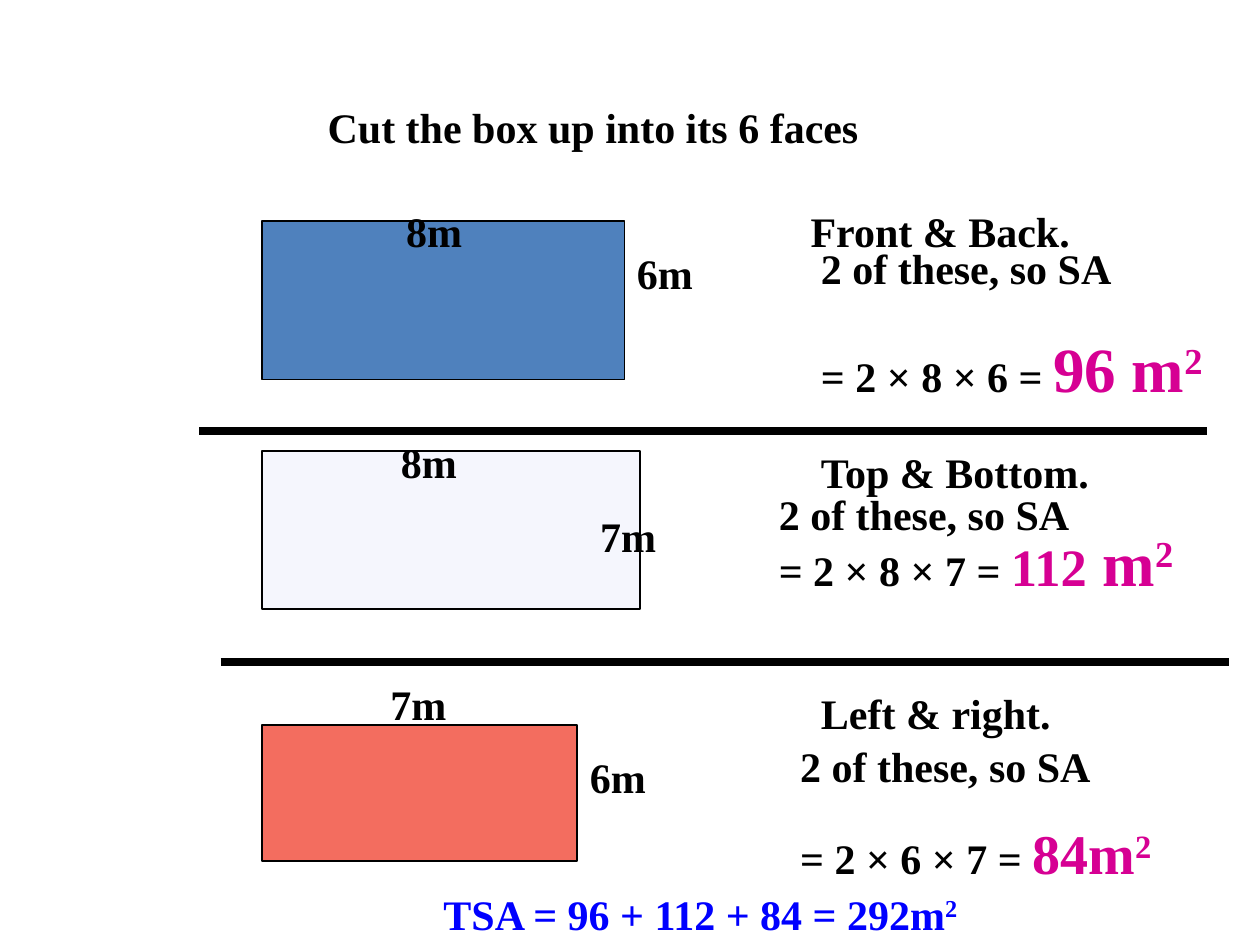
import pptx
import pptx.dml.color
import pptx.enum.shapes
import pptx.enum.text
import pptx.oxml.ns
import pptx.util
from lxml import etree

Cm, Pt = pptx.util.Cm, pptx.util.Pt

THEME = {
    "font": "Times New Roman",
    "size": 24,
    "text": "000000",
    "answer": "D60093",
    "total": "0000FF",
    "outline": 1,
    "divider": 4.5,
}
RAISED = "²"  # written as a raised 2

# Positions and sizes are in cm: left, top, width, height.
# A paragraph is (runs, line spacing, space before in pt); a run is (text, size, colour).
BODY, ANSWER = THEME["text"], THEME["answer"]
SIZE = THEME["size"]
TITLE = ("Cut the box up into its 6 faces", (6.35, 1.91, 12.07, 1.27))
TOTAL = ("TSA = 96 + 112 + 84 = 292m", (8.69, 17.78, 11.43, 1.27))
COUNT = [("2 of these, so SA", SIZE, BODY)]

FACES = [
    {
        "fill": "4F81BD", "box": (5.29, 4.45, 7.3, 3.2),
        "sides": [("8m", (7.94, 4.02, 2.65, 1.27)), ("6m", (12.59, 4.87, 2.65, 1.27))],
        "name": ("Front & Back.", 1.0, (16.09, 4.02, 7.41, 1.27)),
        "working": [
            (COUNT, Pt(20), 0),
            ([("= 2 × 8 × 6 = ", SIZE, BODY), ("96 m", 36, ANSWER), (RAISED, 36, ANSWER)], 1.0, 21),
        ],
        "working_box": (16.3, 5.08, 8.26, 3.25),
    },
    {
        "fill": "F5F6FD", "box": (5.29, 9.1, 7.62, 3.18),
        "sides": [("8m", (7.83, 8.68, 2.12, 1.27)), ("7m", (11.85, 10.16, 2.12, 1.27))],
        "name": ("Top & Bottom.", 0.5, (16.3, 9.31, 7.41, 0.76)),
        "working": [
            (COUNT, 0.5, 0),
            ([("= 2 × 8 × 7 = ", SIZE, BODY), ("112", 30, ANSWER), (" m", 36, ANSWER),
              (RAISED, 36, ANSWER)], 0.5, 12),
        ],
        "working_box": (15.45, 10.16, 9.1, 1.91),
    },
    {
        "fill": "F36D5F", "box": (5.29, 14.61, 6.35, 2.75),
        "sides": [("7m", (7.62, 13.55, 2.12, 1.27)), ("6m", (11.64, 15.03, 2.12, 1.27))],
        "name": ("Left & right.", 0.5, (16.3, 14.18, 7.41, 0.76)),
        "working": [
            (COUNT, 0.5, 0),
            ([("= 2 × 6 × 7 = ", SIZE, BODY), ("84m", 32, ANSWER), (RAISED, 32, ANSWER)], 1.0, 18),
        ],
        "working_box": (15.88, 15.24, 7.83, 2.79),
    },
]
DIVIDERS = [(4.02, 8.68), (4.45, 13.34)]  # left, height on the slide
DIVIDER_WIDTH = 20.32


def rgb(colour):
    return pptx.dml.color.RGBColor.from_string(colour)


def write(frame, paragraphs):
    frame.word_wrap = True
    for index, (runs, spacing, before) in enumerate(paragraphs):
        paragraph = frame.add_paragraph() if index else frame.paragraphs[0]
        paragraph.alignment = pptx.enum.text.PP_ALIGN.LEFT
        paragraph.line_spacing = spacing
        paragraph.space_before = Pt(before)
        paragraph.font.name = THEME["font"]
        paragraph.font.bold = True
        for text, size, colour in runs:
            run = paragraph.add_run()
            run.text = "2" if text == RAISED else text
            run.font.size = Pt(size)
            run.font.color.rgb = rgb(colour)
            if text == RAISED:
                run.font._element.set("baseline", "30000")


def add_text(shapes, paragraphs, box):
    frame = shapes.add_textbox(*map(Cm, box)).text_frame
    write(frame, paragraphs)
    frame.auto_size = pptx.enum.text.MSO_AUTO_SIZE.SHAPE_TO_FIT_TEXT


def plain(text, spacing=1.0):
    return [([(text, SIZE, BODY)], spacing, 0)]


def add_face(slide, face):
    """Draw one face with its side lengths, and its area beside it."""
    group = slide.shapes.add_group_shape()
    rectangle = group.shapes.add_shape(
        pptx.enum.shapes.MSO_SHAPE.RECTANGLE, *map(Cm, face["box"]))
    rectangle.shadow.inherit = False
    rectangle.fill.solid()
    rectangle.fill.fore_color.rgb = rgb(face["fill"])
    rectangle.line.color.rgb = rgb(BODY)
    rectangle.line.width = Pt(THEME["outline"])
    for length, box in face["sides"]:
        add_text(group.shapes, plain(length), box)
    name, spacing, box = face["name"]
    add_text(slide.shapes, plain(name, spacing), box)
    add_text(slide.shapes, face["working"], face["working_box"])


def add_divider(slide, left, y):
    divider = slide.shapes.add_connector(
        pptx.enum.shapes.MSO_CONNECTOR.STRAIGHT,
        Cm(left), Cm(y), Cm(left + DIVIDER_WIDTH), Cm(y))
    divider.line.color.rgb = rgb(BODY)
    divider.line.width = Pt(THEME["divider"])
    etree.SubElement(divider._element.spPr, pptx.oxml.ns.qn("a:effectLst"))


def main():
    presentation = pptx.Presentation()
    presentation.slide_width, presentation.slide_height = Cm(25.4), Cm(19.05)
    slide = presentation.slides.add_slide(presentation.slide_layouts[5])

    heading, box = TITLE
    title = slide.shapes.title
    title.left, title.top, title.width, title.height = map(Cm, box)
    title.text_frame.vertical_anchor = pptx.enum.text.MSO_ANCHOR.TOP
    title.text_frame.auto_size = pptx.enum.text.MSO_AUTO_SIZE.NONE
    write(title.text_frame, plain(heading))

    for face in FACES:
        add_face(slide, face)
    for left, y in DIVIDERS:
        add_divider(slide, left, y)

    total, box = TOTAL
    blue = THEME["total"]
    add_text(slide.shapes, [([(total, SIZE, blue), (RAISED, SIZE, blue)], 1.0, 0)], box)
    presentation.save("out.pptx")


if __name__ == "__main__":
    main()
